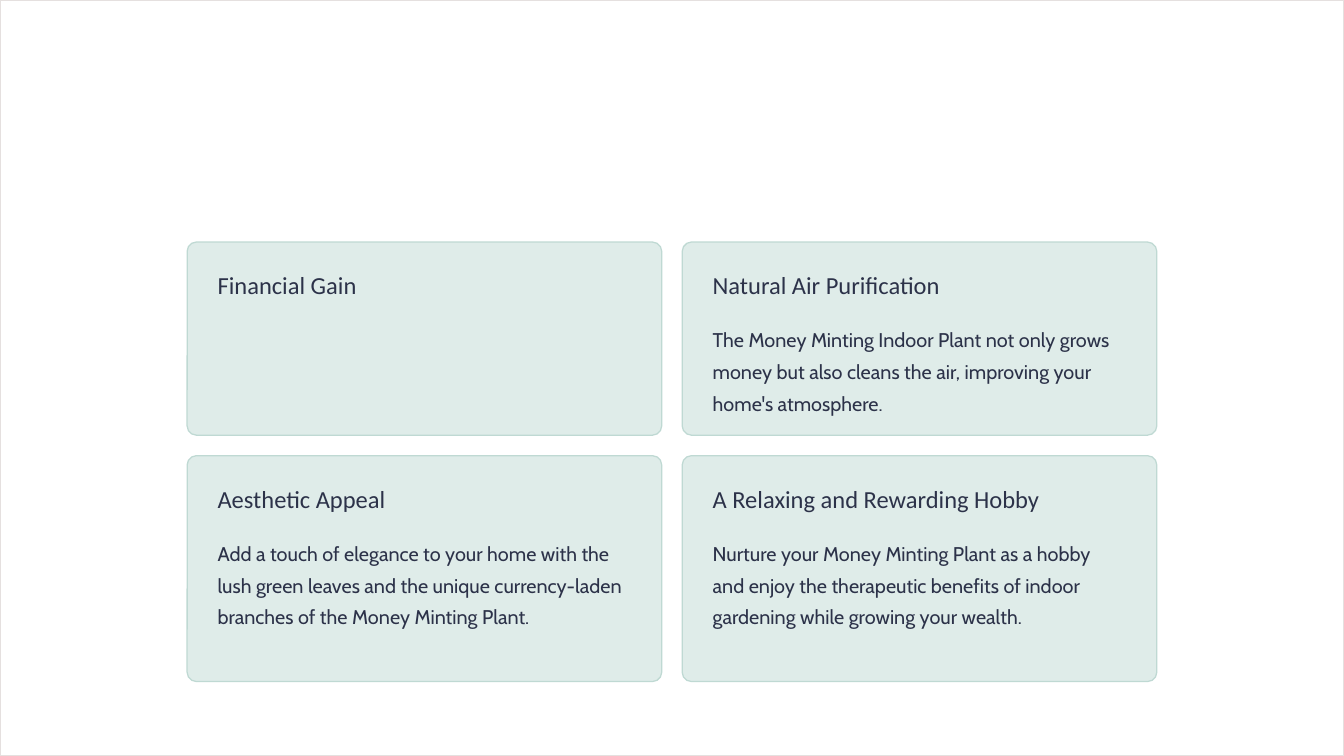
from pptx import Presentation
from pptx.dml.color import RGBColor
from pptx.enum.shapes import MSO_SHAPE as Shape
from pptx.enum.text import MSO_AUTO_SIZE as AutoSize
from pptx.util import Cm, Pt

# Content: rows of cards as (heading, heading width in cm, body)
CARD_ROWS = [
    [
        ("Financial Gain", 5.03, ""),
        ("Natural Air Purification", 7.67,
         "The Money Minting Indoor Plant not only grows money but also "
         "cleans the air, improving your home's atmosphere."),
    ],
    [
        ("Aesthetic Appeal", 5.84,
         "Add a touch of elegance to your home with the lush green leaves "
         "and the unique currency-laden branches of the Money Minting Plant."),
        ("A Relaxing and Rewarding Hobby", 11.35,
         "Nurture your Money Minting Plant as a hobby and enjoy the "
         "therapeutic benefits of indoor gardening while growing your wealth."),
    ],
]
ROW_HEIGHTS = [5.84, 6.83]

# Layout in cm
SLIDE_WIDTH, SLIDE_HEIGHT = 40.64, 22.86
CARD_WIDTH, GAP, RADIUS = 14.35, 0.62, 0.28
GRID_LEFT = (SLIDE_WIDTH - 2 * CARD_WIDTH - GAP) / 2
GRID_TOP = 7.32
TEXT_INDENT = 0.79
HEADING_OFFSET, HEADING_HEIGHT = 0.66, 1.19
BODY_OFFSET, BODY_WIDTH, BODY_HEIGHT = 2.24, 12.78, 3.05

WHITE, PAGE_EDGE = "FFFFFF", "E5E0DF"
CARD_FILL, CARD_EDGE, INK = "DFECE9", "BFD9D3", "2C3249"


def color(value):
    return RGBColor.from_string(value)


def add_panel(slide, kind, left, top, width, height, fill, edge):
    shape = slide.shapes.add_shape(kind, Cm(left), Cm(top), Cm(width), Cm(height))
    shape.shadow.inherit = False
    shape.fill.solid()
    shape.fill.fore_color.rgb = color(fill)
    shape.line.color.rgb = color(edge)
    shape.line.width = Pt(1.09)
    return shape


def add_text(slide, text, left, top, width, height, font_name, size, wrap):
    box = slide.shapes.add_textbox(Cm(left), Cm(top), Cm(width), Cm(height))
    frame = box.text_frame
    frame.margin_left = frame.margin_right = Cm(0.13)
    frame.margin_top = frame.margin_bottom = Cm(0.13)
    frame.word_wrap = wrap
    frame.auto_size = AutoSize.SHAPE_TO_FIT_TEXT
    frame.text = text
    paragraph = frame.paragraphs[0]
    paragraph.line_spacing = Pt(27)
    font = paragraph.runs[0].font
    font.name, font.size = font_name, Pt(size)
    font.color.rgb = color(INK)


def add_card(slide, left, top, height, heading, heading_width, body):
    card = add_panel(slide, Shape.ROUNDED_RECTANGLE, left, top,
                     CARD_WIDTH, height, CARD_FILL, CARD_EDGE)
    card.adjustments[0] = RADIUS / height
    text_left = left + TEXT_INDENT
    add_text(slide, heading, text_left, top + HEADING_OFFSET,
             heading_width, HEADING_HEIGHT, "Calibri", 21, False)
    if body:
        add_text(slide, body, text_left, top + BODY_OFFSET,
                 BODY_WIDTH, BODY_HEIGHT, "Cabin", 17, True)


def main():
    presentation = Presentation()
    presentation.slide_width = Cm(SLIDE_WIDTH)
    presentation.slide_height = Cm(SLIDE_HEIGHT)
    slide = presentation.slides.add_slide(presentation.slide_layouts[6])

    # Page panel
    add_panel(slide, Shape.RECTANGLE, 0, 0, SLIDE_WIDTH, SLIDE_HEIGHT,
              WHITE, PAGE_EDGE)

    # Card grid
    top = GRID_TOP
    for cards, height in zip(CARD_ROWS, ROW_HEIGHTS):
        for column, card in enumerate(cards):
            left = GRID_LEFT + column * (CARD_WIDTH + GAP)
            add_card(slide, left, top, height, *card)
        top += height + GAP

    presentation.save("out.pptx")


if __name__ == "__main__":
    main()
